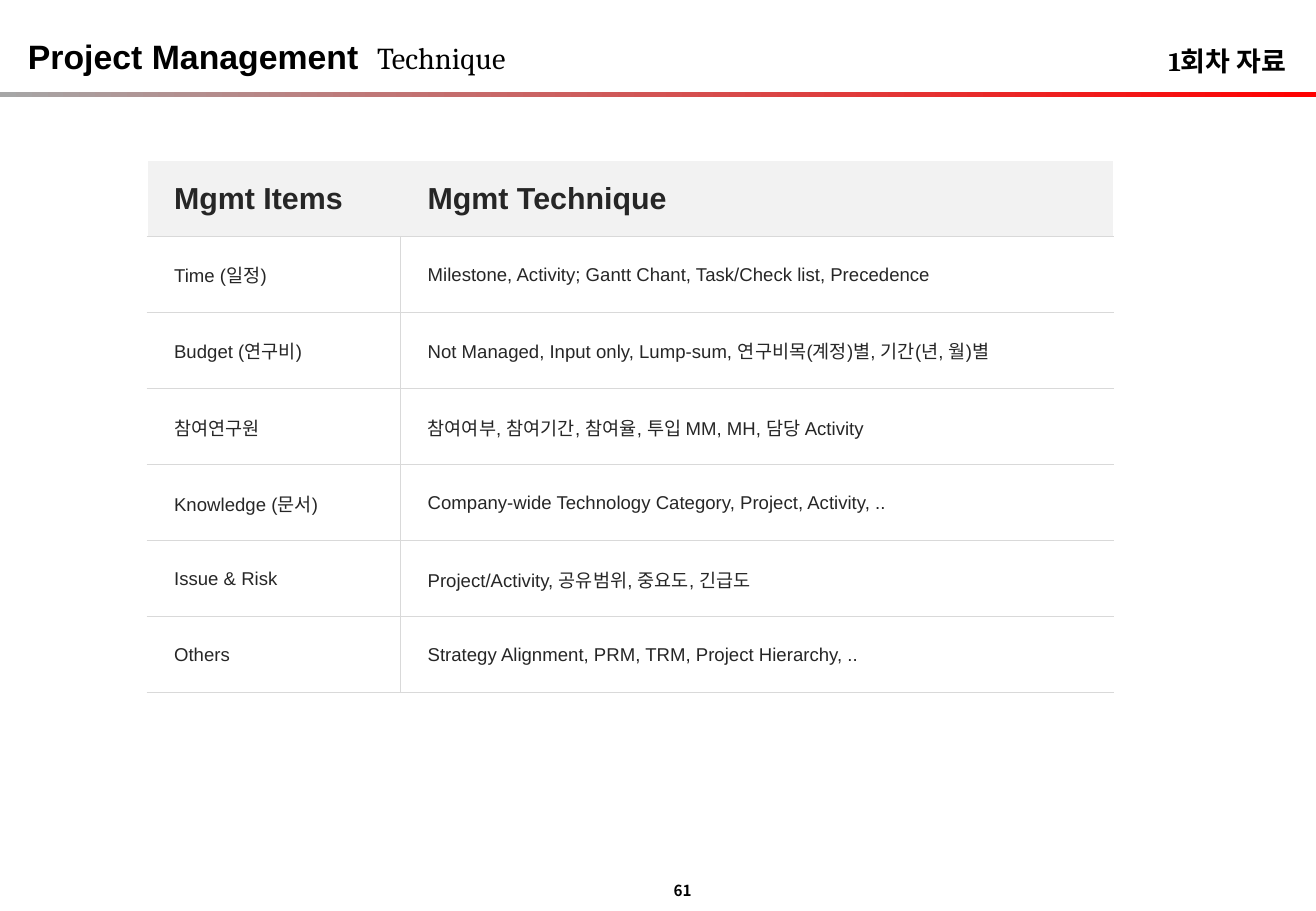
from lxml.etree import SubElement
from pptx import Presentation
from pptx.dml.color import RGBColor
from pptx.enum.shapes import MSO_SHAPE
from pptx.enum.text import MSO_ANCHOR, MSO_AUTO_SIZE, PP_ALIGN
from pptx.oxml.ns import qn
from pptx.util import Cm, Pt

COLORS = {
    "black": "000000",
    "text": "262626",
    "white": "FFFFFF",
    "header": "F2F2F2",
    "rule": "D9D9D9",
    "bar_start": "A6A6A6",
    "bar_end": "FF0000",
}
ROWS = [
    ("Mgmt Items", "Mgmt Technique"),
    ("Time (일정)", "Milestone, Activity; Gantt Chant, Task/Check list, Precedence"),
    ("Budget (연구비)", "Not Managed, Input only, Lump-sum, 연구비목(계정)별, 기간(년, 월)별"),
    ("참여연구원", "참여여부, 참여기간, 참여율, 투입 MM, MH, 담당 Activity"),
    ("Knowledge (문서)", "Company-wide Technology Category, Project, Activity, .."),
    ("Issue & Risk", "Project/Activity, 공유범위, 중요도, 긴급도"),
    ("Others", "Strategy Alignment, PRM, TRM, Project Hierarchy, .."),
]


class SlideBuilder:
    """Hold the style and the current slide, and draw each kind of element."""

    def __init__(self, deck):
        self.page = deck.slides.add_slide(deck.slide_layouts[5])
        self.korean_font = "Noto Sans CJK KR"

    def color(self, name):
        return RGBColor.from_string(COLORS[name])

    def format_span(self, span, font, size, bold, color="black"):
        span.font.name = font
        span.font.size = Pt(size)
        span.font.bold = bold
        span.font.color.rgb = self.color(color)
        properties = span.font._element
        SubElement(properties, qn("a:ea"), typeface=self.korean_font)

    def place(self, box, left, top, width, height):
        box.left, box.top = Cm(left), Cm(top)
        box.width, box.height = Cm(width), Cm(height)

    def title(self, heading, subject, tab, *place):
        box = self.page.shapes.title
        self.place(box, *place)
        frame = box.text_frame
        frame.word_wrap = False
        frame.auto_size = MSO_AUTO_SIZE.SHAPE_TO_FIT_TEXT
        frame.vertical_anchor = MSO_ANCHOR.TOP
        para = frame.paragraphs[0]
        para.alignment = PP_ALIGN.LEFT
        tabs = SubElement(para._p.get_or_add_pPr(), qn("a:tabLst"))
        SubElement(tabs, qn("a:tab"), pos=str(Cm(tab)), algn="l")
        for text, font, size, bold in (
            (heading + "\t", "Arial", 20, True),
            (subject, "Cambria", 18, False),
        ):
            span = para.add_run()
            span.text = text
            self.format_span(span, font, size, bold)

    def label(self, text, font, size, align, anchor, *place):
        box = self.page.shapes.add_textbox(*map(Cm, place))
        frame = box.text_frame
        frame.text = text
        frame.word_wrap = False
        frame.auto_size = MSO_AUTO_SIZE.SHAPE_TO_FIT_TEXT
        frame.vertical_anchor = anchor
        para = frame.paragraphs[0]
        para.alignment = align
        self.format_span(para.runs[0], font, size, True)

    def gradient_bar(self, *place):
        bar = self.page.shapes.add_shape(MSO_SHAPE.RECTANGLE, *map(Cm, place))
        bar.shadow.inherit = False
        bar.line.fill.background()
        bar.fill.gradient()
        bar.fill.gradient_angle = 0
        for stop, name in zip(bar.fill.gradient_stops, ("bar_start", "bar_end")):
            stop.color.rgb = self.color(name)

    def border(self, cell, side, name):
        width = Pt(1) if name == "white" else Pt(0.75)
        line = SubElement(cell._tc.get_or_add_tcPr(), qn(f"a:ln{side}"), w=str(width))
        if name is None:
            SubElement(line, qn("a:noFill"))
        else:
            fill = SubElement(line, qn("a:solidFill"))
            SubElement(fill, qn("a:srgbClr"), val=COLORS[name])

    def cell(self, cell, text, is_header, is_first):
        cell.text = text
        cell.vertical_anchor = MSO_ANCHOR.MIDDLE
        cell.margin_left = cell.margin_right = Cm(0.56)
        cell.margin_top = cell.margin_bottom = Cm(0.3)
        inner = None if is_header else "rule"
        self.border(cell, "L", "white" if is_first else inner)
        self.border(cell, "R", inner if is_first else "white")
        self.border(cell, "T", "white" if is_header else "rule")
        self.border(cell, "B", "rule")
        cell.fill.solid()
        cell.fill.fore_color.rgb = self.color("header" if is_header else "white")
        span = cell.text_frame.paragraphs[0].runs[0]
        self.format_span(span, "Arial", 18 if is_header else 11, is_header, "text")

    def table(self, rows, left, top, widths, row_height):
        place = (left, top, sum(widths), row_height * len(rows))
        table = self.page.shapes.add_table(len(rows), len(widths), *map(Cm, place)).table
        table.first_row = table.horz_banding = False
        for column, width in zip(table.columns, widths):
            column.width = Cm(width)
        for row_index, texts in enumerate(rows):
            table.rows[row_index].height = Cm(row_height)
            for column_index, text in enumerate(texts):
                cell = table.cell(row_index, column_index)
                self.cell(cell, text, row_index == 0, column_index == 0)


def main():
    deck = Presentation()
    deck.slide_width, deck.slide_height = Cm(27.51), Cm(19.05)
    slide = SlideBuilder(deck)
    slide.gradient_bar(0, 1.92, 27.51, 0.11)
    slide.table(ROWS, 3.08, 3.36, (5.3, 14.9), 1.59)
    slide.title("Project Management", "Technique", 7.3, 0.33, 0.63, 11.3, 1.11)
    slide.label("61", "Noto Sans CJK KR", 9, PP_ALIGN.RIGHT, MSO_ANCHOR.MIDDLE,
                13.77, 18.31, 0.94, 0.64)
    slide.label("1회차 자료", "Cambria", 16, PP_ALIGN.LEFT, MSO_ANCHOR.TOP,
                24.18, 0.81, 3.25, 0.94)
    deck.save("out.pptx")


if __name__ == "__main__":
    main()
